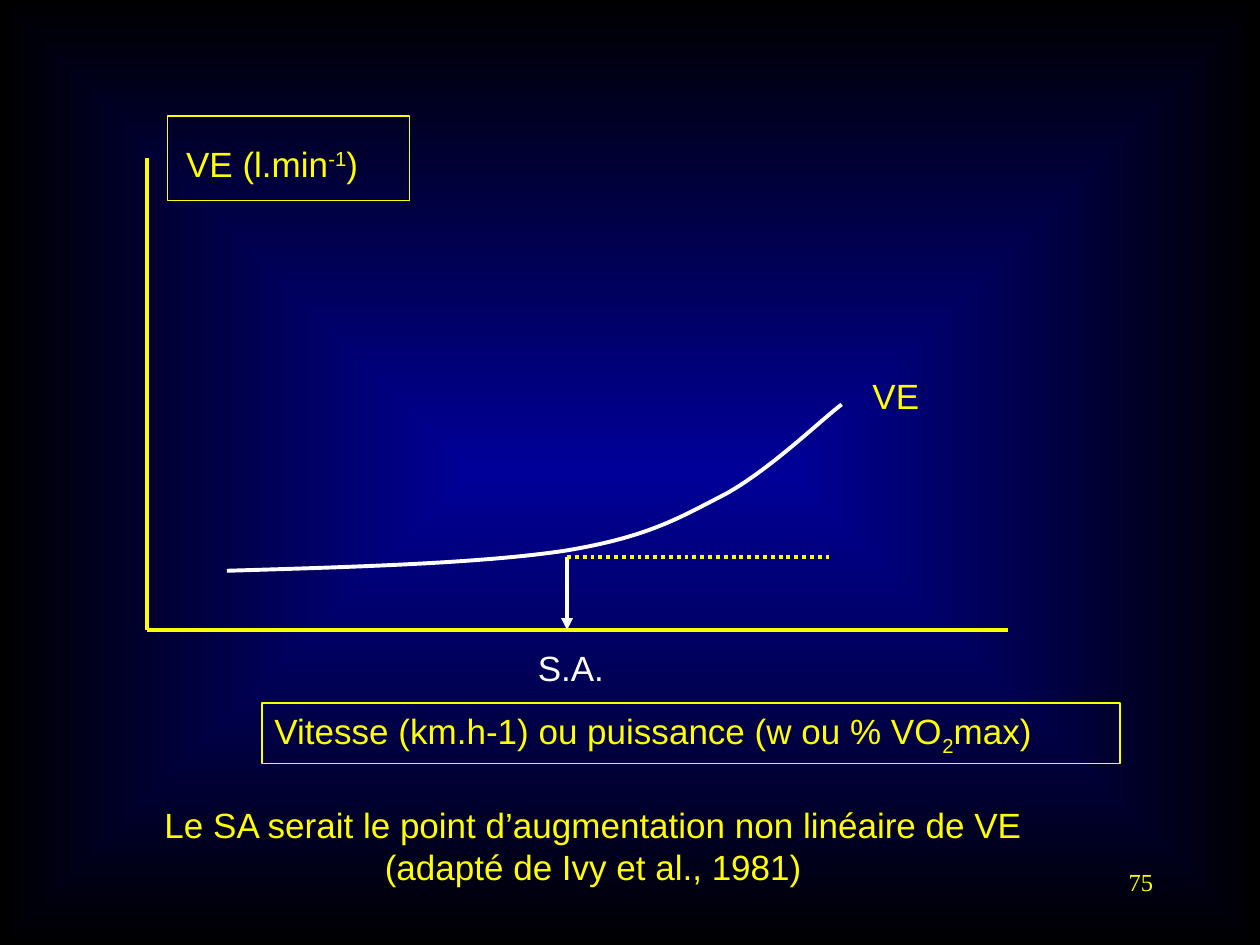
from dataclasses import dataclass

from pptx import Presentation
from pptx.dml.color import RGBColor
from pptx.enum.dml import MSO_LINE_DASH_STYLE as Dash
from pptx.enum.shapes import MSO_CONNECTOR as Link, MSO_SHAPE as Kind
from pptx.enum.text import MSO_AUTO_SIZE as Fit, PP_ALIGN as Align
from pptx.oxml.ns import qn
from pptx.oxml.xmlchemy import OxmlElement as Node
from pptx.util import Inches, Pt

YELLOW = RGBColor(0xFF, 0xFF, 0x00)
WHITE = RGBColor(0xFF, 0xFF, 0xFF)
NAVY = RGBColor(0x00, 0x00, 0x99)
BLACK = RGBColor(0x00, 0x00, 0x00)
Box = tuple[float, float, float, float]
Point = tuple[float, float]


@dataclass
class Label:
    """Text box; each line is a list of (text, baseline shift in percent)."""
    box: Box
    lines: list[list[tuple[str, int]]]
    align: Align = Align.CENTER
    color: RGBColor = YELLOW
    size: int = 20
    font: str = "Arial"
    wrap: bool = True
    border: bool = False


@dataclass
class Rule:
    start: Point
    end: Point
    color: RGBColor = YELLOW
    dotted: bool = False
    arrow: bool = False


ORIGIN = (1.17, 5)
BREAK = (4.5, 4.42)
RULES = [
    Rule((1.17, 1.25), ORIGIN),
    Rule(ORIGIN, (8, 5)),
    Rule(BREAK, (4.5, 5), WHITE, arrow=True),
    Rule(BREAK, (6.58, 4.42), dotted=True),
]
# Start point, then two control points and an end point per segment
CURVE = [
    (1.8, 4.53),
    (2.82, 4.5), (3.83, 4.47), (4.49, 4.37),
    (5.15, 4.26), (5.39, 4.11), (5.76, 3.92),
    (6.12, 3.72), (6.52, 3.33), (6.68, 3.21),
]
LABELS = [
    Label((2.08, 5.58, 6.81, 0.48),
          [[("Vitesse (km.h-1) ou puissance (w ou % VO", 0), ("2", -25), ("max)", 0)]],
          Align.LEFT, border=True),
    Label((4.17, 5.08, 0.8, 0.44), [[("S.A.", 0)]], Align.LEFT, WHITE, wrap=False),
    Label((1.08, 1.08, 2.16, 0.44), [[("VE (l.min", 0), ("-1", 30), (")", 0)]]),
    Label((6.42, 2.92, 1.38, 0.44), [[("VE", 0)]]),
    Label((1.16, 6.33, 7.1, 0.77),
          [[("Le SA serait le point d’augmentation non linéaire de VE", 0)],
           [("(adapté de Ivy et al., 1981)", 0)]], wrap=False),
    Label((7.17, 6.83, 2.08, 0.5), [[("75", 0)]], Align.RIGHT,
          size=14, font="Times New Roman"),
]


def paint_back(slide) -> None:
    """Fill the background with a gradient that spreads from the centre."""
    fill = slide.background.fill
    fill.gradient()
    for stop, color in zip(fill.gradient_stops, (NAVY, BLACK)):
        stop.color.rgb = color
    lin = slide.element.find(".//" + qn("a:lin"))
    path = Node("a:path")
    path.set("path", "rect")
    focus = Node("a:fillToRect")
    for side in "ltrb":
        focus.set(side, "50000")
    path.append(focus)
    lin.getparent().replace(lin, path)


def set_line(line, color: RGBColor, width: float = 2.25) -> None:
    line.color.rgb = color
    line.width = Pt(width)


def draw_rule(slide, rule: Rule) -> None:
    ends = [Inches(n) for n in (*rule.start, *rule.end)]
    link = slide.shapes.add_connector(Link.STRAIGHT, *ends)
    set_line(link.line, rule.color)
    if rule.dotted:
        link.line.dash_style = Dash.ROUND_DOT
    props = link.element.spPr
    if rule.arrow:
        tail = Node("a:tailEnd")
        tail.set("type", "triangle")
        props.find(qn("a:ln")).append(tail)
    props.append(Node("a:effectLst"))


def draw_curve(slide, points: list[Point]) -> None:
    """Lay out the points as a polyline, then turn each three into a Bezier."""
    spots = [(Inches(x), Inches(y)) for x, y in points]
    build = slide.shapes.build_freeform(*spots[0])
    build.add_line_segments(spots[1:], close=False)
    curve = build.convert_to_shape()
    curve.shadow.inherit = False
    curve.fill.background()
    set_line(curve.line, WHITE)
    path = curve.element.find(".//" + qn("a:path"))
    steps = path.findall(qn("a:lnTo"))
    for i in range(0, len(steps), 3):
        bend = Node("a:cubicBezTo")
        for step in steps[i:i + 3]:
            bend.append(step[0])
            path.remove(step)
        path.append(bend)


def draw_label(slide, label: Label) -> None:
    shape = slide.shapes.add_textbox(*map(Inches, label.box))
    if label.border:
        set_line(shape.line, YELLOW, 0.75)
    frame = shape.text_frame
    frame.word_wrap = label.wrap
    if not label.wrap:
        frame.auto_size = Fit.SHAPE_TO_FIT_TEXT
    frame.text = "\n".join("" for _ in label.lines)
    for para, parts in zip(frame.paragraphs, label.lines):
        para.alignment = label.align
        for text, shift in parts:
            run = para.add_run()
            run.text = text
            font = run.font
            font.name, font.size = label.font, Pt(label.size)
            font.color.rgb = label.color
            if shift:
                font._element.set("baseline", str(shift * 1000))


def draw_frame(slide, box: Box) -> None:
    frame = slide.shapes.add_shape(Kind.RECTANGLE, *map(Inches, box))
    frame.shadow.inherit = False
    frame.fill.background()
    set_line(frame.line, YELLOW, 0.75)


def main() -> None:
    deck = Presentation()
    deck.slide_width, deck.slide_height = Inches(10), Inches(7.5)
    slide = deck.slides.add_slide(deck.slide_layouts[6])
    paint_back(slide)
    for rule in RULES:
        draw_rule(slide, rule)
    draw_curve(slide, CURVE)
    draw_frame(slide, (1.33, 0.92, 1.92, 0.67))
    for label in LABELS:
        draw_label(slide, label)
    deck.save("out.pptx")


if __name__ == "__main__":
    main()
